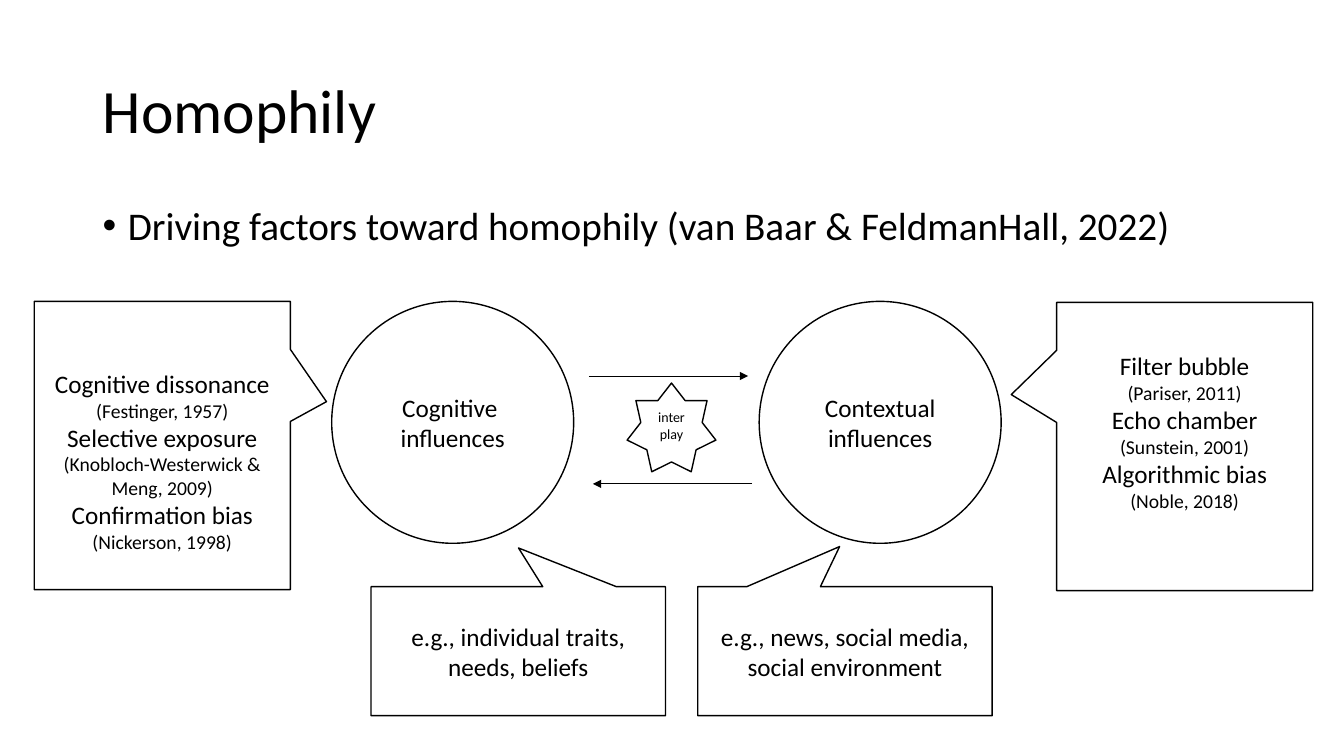
import pptx
import pptx.util
import pptx.dml.color
import pptx.enum.shapes
import pptx.enum.text
import pptx.oxml
from lxml import etree

Inches, Pt = pptx.util.Inches, pptx.util.Pt
SHAPE = pptx.enum.shapes.MSO_SHAPE
ALIGN = pptx.enum.text.PP_ALIGN
ANCHOR = pptx.enum.text.MSO_ANCHOR
BLACK = pptx.dml.color.RGBColor(0, 0, 0)
FONT = "Calibri"

TITLE = "Homophily"
BULLET = "Driving factors toward homophily (van Baar & FeldmanHall, 2022)"
INFLUENCES = [["Cognitive ", "influences"], ["Contextual", "influences"]]
INTERPLAY = "interplay"
# text, pointer tip as shares of the callout's size from its centre
EXAMPLES = [
    ("e.g., individual traits, needs, beliefs", (0.001, -0.8)),
    ("e.g., news, social media, social environment", (-0.018, -0.811)),
]
# left, top, pointer tip, extra top and bottom margin, (theory, reference) pairs
THEORIES = [
    (0.34, 2.99, (0.641, -0.152), (0.3, 0), [
        ("Cognitive dissonance", "(Festinger, 1957)"),
        ("Selective exposure", "(Knobloch-Westerwick & Meng, 2009)"),
        ("Confirmation bias", "(Nickerson, 1998)")]),
    (10.48, 3, (-0.677, -0.18), (0, 0.3), [
        ("Filter bubble", "(Pariser, 2011)"),
        ("Echo chamber", "(Sunstein, 2001)"),
        ("Algorithmic bias", "(Noble, 2018)")]),
]
ARROWS = [(5.84, 7.42, 3.73), (7.46, 5.88, 4.8)]  # from x, to x, y

MARGIN, TEXT_W = 0.92, 11.5
CIRCLE_X, CIRCLE_Y, CIRCLE_STEP, CIRCLE_D = 3.29, 2.99, 4.24, 2.4
EXAMPLE_X, EXAMPLE_Y, EXAMPLE_STEP = 3.68, 5.82, 3.24
EXAMPLE_W, EXAMPLE_H = 2.92, 1.28
THEORY_W, THEORY_H = 2.54, 2.86
STAR_X, STAR_Y, STAR_D = 6.22, 3.8, 0.88

prs = pptx.Presentation()
prs.slide_width, prs.slide_height = Inches(13.33), Inches(7.5)
slide = prs.slides.add_slide(prs.slide_layouts[6])


def write(tf, lines, align):
    """Write (text, size) pairs as one paragraph each."""
    tf.word_wrap = True
    for i, (text, size) in enumerate(lines):
        p = tf.add_paragraph() if i else tf.paragraphs[0]
        p.alignment = align
        r = p.add_run()
        r.text = text
        r.font.name, r.font.size = FONT, Pt(size)
        r.font.color.rgb = BLACK


def add_text(top, height, text, size, anchor):
    tf = slide.shapes.add_textbox(
        *map(Inches, (MARGIN, top, TEXT_W, height))).text_frame
    write(tf, [(text, size)], ALIGN.LEFT)
    tf.vertical_anchor = anchor
    tf.paragraphs[0].line_spacing = 0.9
    return tf.paragraphs[0]


def add_outline(kind, box, lines, tip=()):
    """Add an unfilled shape with centred text; tip aims a callout."""
    sp = slide.shapes.add_shape(kind, *map(Inches, box))
    sp.shadow.inherit = False
    sp.fill.background()
    sp.line.color.rgb, sp.line.width = BLACK, Pt(1)
    for i, share in enumerate(tip):
        sp.adjustments[i] = share
    write(sp.text_frame, lines, ALIGN.CENTER)
    sp.text_frame.vertical_anchor = ANCHOR.MIDDLE
    return sp.text_frame


def add_arrow(x1, x2, y):
    line = slide.shapes.add_connector(
        pptx.enum.shapes.MSO_CONNECTOR.STRAIGHT, *map(Inches, (x1, y, x2, y)))
    line.line.color.rgb, line.line.width = BLACK, Pt(0.5)
    ln = line.line._get_or_add_ln()
    etree.SubElement(ln, pptx.oxml.ns.qn("a:tailEnd"), type="triangle")
    etree.SubElement(line._element.spPr, pptx.oxml.ns.qn("a:effectLst"))


add_text(0.4, 1.45, TITLE, 44, ANCHOR.MIDDLE)
bullet = add_text(2, 4.76, BULLET, 28, ANCHOR.TOP)
bullet.space_before = Pt(10)
pPr = bullet._p.get_or_add_pPr()
pPr.set("marL", str(Inches(0.25)))
pPr.set("indent", str(-Inches(0.25)))
etree.SubElement(pPr, pptx.oxml.ns.qn("a:buFont"), typeface="Arial")
etree.SubElement(pPr, pptx.oxml.ns.qn("a:buChar"), char="•")

for i, words in enumerate(INFLUENCES):
    add_outline(SHAPE.OVAL,
                (CIRCLE_X + i * CIRCLE_STEP, CIRCLE_Y, CIRCLE_D, CIRCLE_D),
                [(word, 18) for word in words])

for arrow in ARROWS:
    add_arrow(*arrow)

for i, (text, tip) in enumerate(EXAMPLES):
    add_outline(SHAPE.RECTANGULAR_CALLOUT,
                (EXAMPLE_X + i * EXAMPLE_STEP, EXAMPLE_Y, EXAMPLE_W, EXAMPLE_H),
                [(text, 18)], tip)

for left, top, tip, (above, below), pairs in THEORIES:
    lines = [line for theory, reference in pairs
             for line in ((theory, 18), (reference, 14))]
    tf = add_outline(SHAPE.RECTANGULAR_CALLOUT,
                     (left, top, THEORY_W, THEORY_H), lines, tip)
    tf.margin_top, tf.margin_bottom = Inches(0.05 + above), Inches(0.05 + below)

add_outline(SHAPE.STAR_7_POINT, (STAR_X, STAR_Y, STAR_D, STAR_D),
            [(INTERPLAY, 10)])

prs.save("out.pptx")
